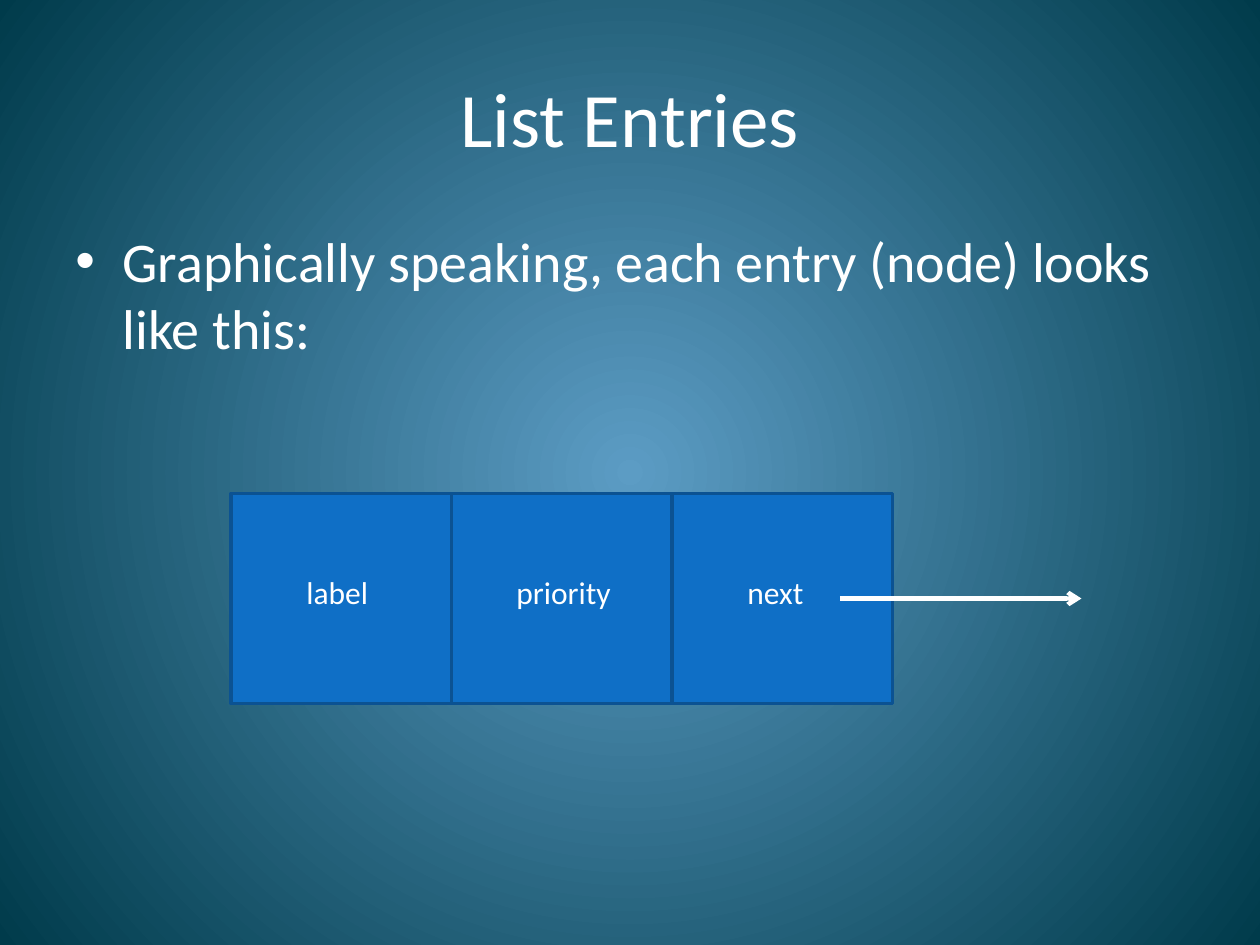
from lxml.etree import SubElement
from pptx import Presentation
from pptx.dml.color import RGBColor
from pptx.enum.shapes import MSO_CONNECTOR as Connector, MSO_SHAPE as Shape
from pptx.enum.text import MSO_ANCHOR as Anchor, MSO_AUTO_SIZE as AutoSize, PP_ALIGN as Align
from pptx.oxml.ns import qn
from pptx.util import Pt

WHITE = "FFFFFF"
FIELDS = [("label", 36, 50.4), ("priority", 30, 69), ("next", 36, 46.8)]


def rgb(hex_code):
    """Return the colour for a hex string."""
    return RGBColor.from_string(hex_code)


def style(paragraph, size, align=Align.LEFT):
    """Set the white Calibri look and alignment of a paragraph."""
    paragraph.alignment = align
    font = paragraph.font
    font.name, font.size = "Calibri", Pt(size)
    font.color.rgb = rgb(WHITE)


def paint_background(slide, centre, edge):
    """Fill the slide with a radial gradient."""
    fill = slide.background.fill
    fill.gradient()
    for stop, position, colour in zip(fill.gradient_stops, (0, 1), (centre, edge)):
        stop.position = position
        stop.color.rgb = rgb(colour)
    gradient = next(slide.element.iter(qn("a:gradFill")))
    gradient.remove(gradient.find(qn("a:lin")))
    radial = SubElement(gradient, qn("a:path"), path="circle")
    SubElement(radial, qn("a:fillToRect"), dict.fromkeys("ltrb", "50000"))


def place_title(slide, text, left, top, width, height):
    """Place the centred title in its box."""
    title = slide.shapes.title
    title.left, title.top, title.width, title.height = map(Pt, (left, top, width, height))
    title.text_frame.text = text
    title.text_frame.vertical_anchor = Anchor.MIDDLE
    style(title.text_frame.paragraphs[0], 44, Align.CENTER)


def place_bullet(slide, text, left, top, width, height):
    """Place one bulleted statement in its box."""
    frame = slide.shapes.add_textbox(*map(Pt, (left, top, width, height))).text_frame
    frame.word_wrap = True
    frame.text = text
    statement = frame.paragraphs[0]
    style(statement, 32)
    properties = statement._p.get_or_add_pPr()
    properties.set("marL", str(Pt(27)))
    properties.set("indent", str(-Pt(27)))
    SubElement(properties, qn("a:buFont"), typeface="Arial")
    SubElement(properties, qn("a:buChar"), char="•")


def place_arrow(slide, left, right, y):
    """Draw the horizontal pointer to the following node."""
    pointer = slide.shapes.add_connector(Connector.STRAIGHT, *map(Pt, (left, y, right, y)))
    pointer.line.color.rgb = rgb(WHITE)
    pointer.line.width = Pt(2.5)
    SubElement(pointer.line._get_or_add_ln(), qn("a:tailEnd"), type="arrow")
    SubElement(pointer._element.spPr, qn("a:effectLst"))


def place_node(slide, left, top, width, height):
    """Draw the node as equal cells with field names and a pointer."""
    cell_width = width / len(FIELDS)
    for index in range(len(FIELDS)):
        cell = slide.shapes.add_shape(
            Shape.RECTANGLE, *map(Pt, (left + index * cell_width, top, cell_width, height)))
        cell.shadow.inherit = False
        cell.fill.solid()
        cell.fill.fore_color.rgb = rgb("0F6FC6")
        cell.line.color.rgb = rgb("0B5292")
        cell.line.width = Pt(2)
    for index, (field, inset, field_width) in enumerate(FIELDS):
        field_left = left + index * cell_width + inset
        frame = slide.shapes.add_textbox(
            *map(Pt, (field_left, top + 42, field_width, 29))).text_frame
        frame.word_wrap = False
        frame.auto_size = AutoSize.SHAPE_TO_FIT_TEXT
        frame.text = field
        style(frame.paragraphs[0], 18)
    right = left + width
    place_arrow(slide, right - 30, right + 108, top + height / 2)


def main():
    """Build and save the slide."""
    deck = Presentation()
    deck.slide_width, deck.slide_height = Pt(720), Pt(540)
    slide = deck.slides.add_slide(deck.slide_layouts[5])
    paint_background(slide, "5C9CC4", "003B4B")
    place_title(slide, "List Entries", 36, 21.6, 648, 90)
    place_bullet(slide, "Graphically speaking, each entry (node) looks like this:",
                 36, 126, 648, 108)
    place_node(slide, 132, 282, 378, 120)
    deck.save("out.pptx")


if __name__ == "__main__":
    main()
